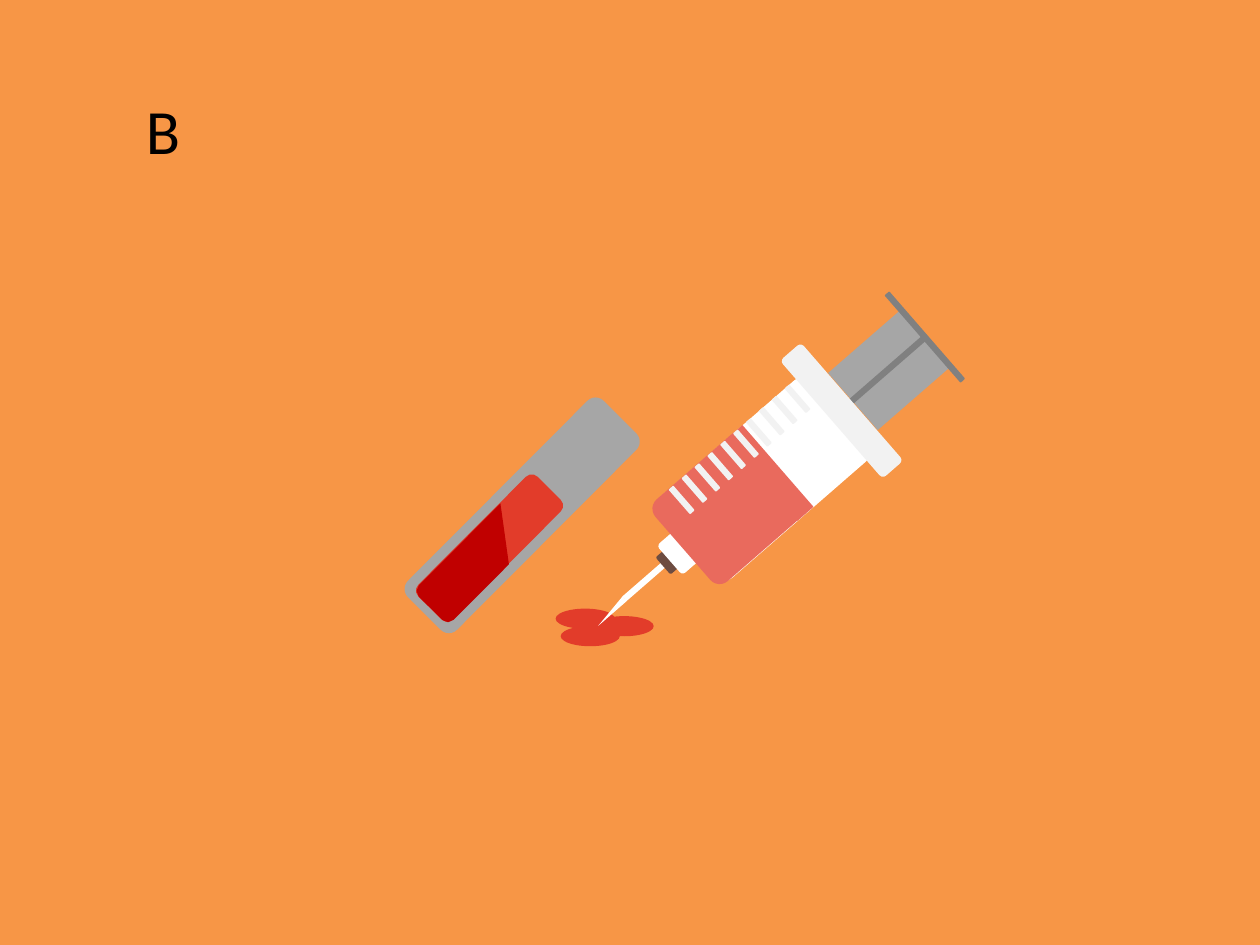
import pptx
import pptx.dml.color
import pptx.enum.shapes
import pptx.enum.text
import pptx.util

Pt = pptx.util.Pt
KIND = pptx.enum.shapes.MSO_SHAPE

COLOURS = {
    "background": "F79646",
    "text": "000000",
    "grey": "A6A6A6",
    "dark_grey": "808080",
    "light_grey": "F2F2F2",
    "white": "FFFFFF",
    "blood": "E23C2A",
    "dark_blood": "C00000",
    "serum": "E96A5D",
    "hub": "6D4C41",
}
TUBE_ANGLE = 44.9
SYRINGE_ANGLE = 49
TICK_COUNT = 10


def colour(name):
    return pptx.dml.color.RGBColor.from_string(COLOURS[name])


def paint(shape, fill, angle):
    shape.shadow.inherit = False
    shape.fill.solid()
    shape.fill.fore_color.rgb = colour(fill)
    shape.line.fill.background()
    shape.rotation = angle


def add_part(group, kind, bounds, fill, angle=0, corner=None):
    shape = group.shapes.add_shape(kind, *(Pt(length) for length in bounds))
    if corner is not None:
        shape.adjustments[0] = corner
    paint(shape, fill, angle)


def add_outline(group, left, top, points, fill, angle):
    start, *rest = [(Pt(left + x), Pt(top + y)) for x, y in points]
    builder = group.shapes.build_freeform(*start)
    builder.add_line_segments(rest, close=True)
    paint(builder.convert_to_shape(), fill, angle)


def add_label(page, bounds, text):
    box = page.shapes.add_textbox(*(Pt(length) for length in bounds))
    frame = box.text_frame
    frame.word_wrap = False
    frame.auto_size = pptx.enum.text.MSO_AUTO_SIZE.SHAPE_TO_FIT_TEXT
    span = frame.paragraphs[0].add_run()
    span.text = text
    span.font.name = "Calibri"
    span.font.size = Pt(36)
    span.font.color.rgb = colour("text")


def add_tube(page):
    group = page.shapes.add_group_shape()
    add_part(group, KIND.ROUNDED_RECTANGLE, (278.6, 215.3, 39.6, 158.4), "grey", TUBE_ANGLE)
    add_part(group, KIND.ROUNDED_RECTANGLE, (265.7, 265, 28.1, 96.5), "blood", TUBE_ANGLE)
    level = [(0, 0), (28, 21.2), (28, 66), (26.7, 69.2), (23.6, 70.6),
             (4.5, 70.6), (1.3, 69.2), (0, 66)]
    add_outline(group, 257, 287.3, level, "dark_blood", TUBE_ANGLE)


def add_drops(page):
    group = page.shapes.add_group_shape()
    for left, top in [(317.5, 347.8), (339.8, 352.1), (320.4, 357.8)]:
        add_part(group, KIND.OVAL, (left, top, 33.8, 11.5), "blood")


def add_syringe(page):
    group = page.shapes.add_group_shape()
    square, rounded = KIND.RECTANGLE, KIND.ROUNDED_RECTANGLE
    parts = [
        (square, (367.2, 315.4, 3.6, 32.4), "white", None),
        (rounded, (375.1, 317.5, 13, 7.2), "hub", None),
        (rounded, (376.6, 308.9, 22.3, 13.7), "white", None),
        (rounded, (405.4, 213.1, 61.9, 121), "white", None),
        (square, (409, 264.2, 61.9, 12.2), "serum", None),
        (rounded, (385.9, 254.9, 61.9, 70.6), "serum", 0.115),
        (rounded, (486.7, 183.6, 43.2, 55.4), "grey", 0),
        (rounded, (495.4, 190.8, 66.2, 3.6), "dark_grey", None),
    ]
    for kind, bounds, fill, corner in parts:
        add_part(group, kind, bounds, fill, SYRINGE_ANGLE, corner)
    add_part(group, rounded, (471.6, 211.7, 66.2, 3.6), "dark_grey", SYRINGE_ANGLE + 90)
    add_part(group, rounded, (436.3, 226.8, 89.3, 15.8), "light_grey", SYRINGE_ANGLE)
    for index in range(TICK_COUNT):
        bounds = (446.4 - 7.36 * index, 226.1 + 6.42 * index, 18.7, 3.6)
        add_part(group, rounded, bounds, "light_grey", SYRINGE_ANGLE)
    add_part(group, KIND.RIGHT_TRIANGLE, (347, 338.4, 3.6, 21.6), "white", SYRINGE_ANGLE + 180)


def main():
    deck = pptx.Presentation()
    deck.slide_width, deck.slide_height = Pt(720), Pt(540)
    page = deck.slides.add_slide(deck.slide_layouts[6])
    page.background.fill.solid()
    page.background.fill.fore_color.rgb = colour("background")
    add_label(page, (76.3, 49, 34.6, 51.1), "B")
    add_tube(page)
    add_drops(page)
    add_syringe(page)
    deck.save("out.pptx")


if __name__ == "__main__":
    main()
